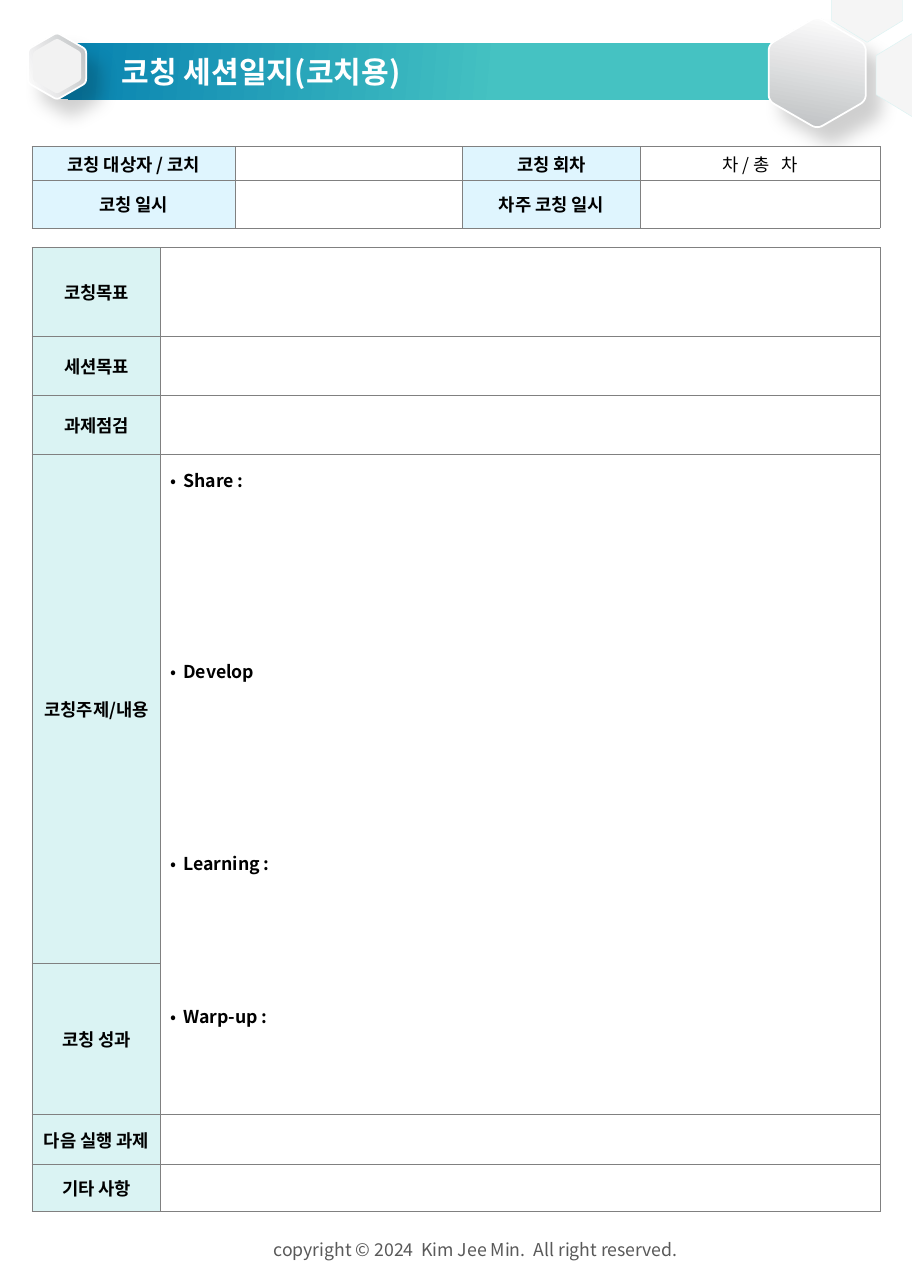
from math import cos, pi, sin

from lxml import etree
from pptx import Presentation
from pptx.dml.color import RGBColor
from pptx.enum.shapes import MSO_SHAPE
from pptx.enum.text import MSO_ANCHOR, PP_ALIGN
from pptx.oxml import parse_xml
from pptx.oxml.ns import nsdecls, qn
from pptx.util import Cm, Pt

RECTANGLE, HEXAGON = MSO_SHAPE.RECTANGLE, MSO_SHAPE.HEXAGON
TOP, MIDDLE = MSO_ANCHOR.TOP, MSO_ANCHOR.MIDDLE
LEFT, CENTER = PP_ALIGN.LEFT, PP_ALIGN.CENTER

FONT = "Noto Sans CJK KR"
BLACK = RGBColor(0x00, 0x00, 0x00)
WHITE = RGBColor(0xFF, 0xFF, 0xFF)
GRAY = RGBColor(0x59, 0x59, 0x59)
BLUE = RGBColor(0x06, 0x81, 0xB0)
TEAL = RGBColor(0x45, 0xC2, 0xC2)
SILVER = RGBColor(0xBE, 0xC0, 0xC2)
PEARL = RGBColor(0xF2, 0xF2, 0xF2)
MIST = RGBColor(0xF5, 0xF5, 0xF5)
PALE_BLUE = RGBColor(0xDF, 0xF5, 0xFE)
PALE_TEAL = RGBColor(0xDA, 0xF3, 0xF3)
BORDER = "808080"

SESSION_ROWS = [
    ["코칭 대상자 / 코치", "", "코칭 회차", "차 / 총   차"],
    ["코칭 일시", "", "차주 코칭 일시", ""],
]
JOURNAL_LABELS = ["코칭목표", "세션목표", "과제점검", "코칭주제/내용",
                  "코칭 성과", "다음 실행 과제", "기타 사항"]
TOPIC_ROW, RESULT_ROW = 3, 4
TOPIC_GAPS = {"Share :": 86.8, "Develop": 86.8, "Learning :": 65.1, "Warp-up :": 0}


def set_font(para, size, color=BLACK, bold=False):
    font = para.font
    font.size = Pt(size)
    font.bold = bold
    font.color.rgb = color
    font.name = FONT
    properties = para._p.pPr.find(qn("a:defRPr"))
    etree.SubElement(properties, qn("a:ea")).set("typeface", FONT)


def add_label(page, left, top, width, height, text, size, color, bold, align):
    box = page.shapes.add_textbox(Cm(left), Cm(top), Cm(width), Cm(height))
    frame = box.text_frame
    frame.word_wrap = True
    frame.vertical_anchor = MIDDLE
    frame.margin_top = frame.margin_bottom = 0
    para = frame.paragraphs[0]
    para.text = text
    para.alignment = align
    set_font(para, size, color, bold)


def fill_gradient(shape, start, end, end_position, angle):
    shape.fill.gradient()
    shape.fill.gradient_angle = angle
    first, last = shape.fill.gradient_stops
    first.color.rgb, first.position = start, 0
    last.color.rgb, last.position = end, end_position


def add_banner(page):
    banner = page.shapes.add_shape(RECTANGLE, Cm(1.19), Cm(0.86), Cm(15.21), Cm(1.12))
    banner.shadow.inherit = False
    banner.line.fill.background()
    fill_gradient(banner, BLUE, TEAL, 0.58, 355)


def add_corner_hexagon(page, left, top):
    shape = page.shapes.add_shape(HEXAGON, Cm(left), Cm(top), Cm(1.65), Cm(1.42))
    shape.rotation = 90
    shape.adjustments[0] = 0.305
    shape.shadow.inherit = False
    shape.fill.solid()
    shape.fill.fore_color.rgb = MIST
    shape.line.color.rgb = PALE_TEAL
    shape.line.width = Pt(0.25)


def rounded_hexagon_points(center_x, center_y, half_width, cut=0.12, steps=6):
    radius = half_width / cos(pi / 6)
    corners = [(center_x + radius * sin(k * pi / 3), center_y - radius * cos(k * pi / 3))
               for k in range(6)]
    points = []
    for k, corner in enumerate(corners):
        before, after = corners[k - 1], corners[(k + 1) % 6]
        for step in range(steps + 1):
            t = step / steps
            toward_before, toward_after = cut * (1 - t) ** 2, cut * t ** 2
            points.append(tuple(
                Cm(c + toward_before * (b - c) + toward_after * (a - c))
                for b, c, a in zip(before, corner, after)))
    return points


def add_rounded_hexagon(page, center_x, center_y, half_width):
    points = rounded_hexagon_points(center_x, center_y, half_width)
    builder = page.shapes.build_freeform(*points[0])
    builder.add_line_segments(points[1:], close=True)
    shape = builder.convert_to_shape()
    shape.shadow.inherit = False
    return shape


def add_silver_hexagon(page, center_x, center_y, half_width, angle):
    shape = add_rounded_hexagon(page, center_x, center_y, half_width)
    fill_gradient(shape, SILVER, WHITE, 1, angle)
    shape.line.color.rgb = WHITE
    shape.line.width = Pt(1)
    effects = shape._element.spPr.find(qn("a:effectLst"))
    effects.append(parse_xml(
        f'<a:outerShdw {nsdecls("a")} blurRad="{Pt(10)}" dist="{Pt(12)}" '
        'dir="3000000" algn="ctr" rotWithShape="0">'
        '<a:srgbClr val="000000"><a:alpha val="19000"/></a:srgbClr></a:outerShdw>'))


def add_pearl_hexagon(page, center_x, center_y, half_width):
    shape = add_rounded_hexagon(page, center_x, center_y, half_width)
    shape.fill.solid()
    shape.fill.fore_color.rgb = PEARL
    shape.line.fill.background()


def add_grid(page, left, top, widths, heights):
    frame = page.shapes.add_table(len(heights), len(widths), Cm(left), Cm(top),
                                  Cm(sum(widths)), Cm(sum(heights)))
    table = frame.table
    table.first_row = table.horz_banding = False
    for column, width in zip(table.columns, widths):
        column.width = Cm(width)
    for row, height in zip(table.rows, heights):
        row.height = Cm(height)
    return table


def set_cell(cell, text, color, bold):
    cell.margin_left = cell.margin_right = cell.margin_top = cell.margin_bottom = 0
    cell.vertical_anchor = MIDDLE
    cell.fill.solid()
    cell.fill.fore_color.rgb = color
    properties = cell._tc.get_or_add_tcPr()
    for index, side in enumerate("LRTB"):
        properties.insert(index, parse_xml(
            f'<a:ln{side} {nsdecls("a")} w="{Pt(0.5)}"><a:solidFill>'
            f'<a:srgbClr val="{BORDER}"/></a:solidFill></a:ln{side}>'))
    para = cell.text_frame.paragraphs[0]
    para.text = text
    para.alignment = CENTER
    set_font(para, 10, bold=bold)


def set_bullets(cell, gaps):
    cell.vertical_anchor = TOP
    cell.margin_left = cell.margin_right = Cm(0.2)
    frame = cell.text_frame
    frame.text = "\n".join(gaps)
    for para, gap in zip(frame.paragraphs, gaps.values()):
        para.alignment = LEFT
        para.line_spacing = 1.5
        para.space_after = Pt(gap)
        properties = para._p.get_or_add_pPr()
        for old in properties.findall(qn("a:defRPr")):
            properties.remove(old)
        properties.set("marL", str(Cm(0.25)))
        properties.set("indent", str(-Cm(0.25)))
        etree.SubElement(properties, qn("a:buFont")).set("typeface", FONT)
        etree.SubElement(properties, qn("a:buChar")).set("char", "•")
        set_font(para, 10, bold=True)


def add_session_table(page):
    table = add_grid(page, 0.64, 2.93, [4.05, 4.54, 3.55, 4.78], [0.67, 0.95])
    for r, texts in enumerate(SESSION_ROWS):
        for c, text in enumerate(texts):
            is_label = c % 2 == 0
            set_cell(table.cell(r, c), text, PALE_BLUE if is_label else WHITE, is_label)


def add_journal_table(page):
    table = add_grid(page, 0.64, 4.94, [2.57, 14.35],
                     [1.78, 1.17, 1.17, 10.16, 3.02, 0.99, 0.94])
    for r, label in enumerate(JOURNAL_LABELS):
        set_cell(table.cell(r, 0), label, PALE_TEAL, True)
        set_cell(table.cell(r, 1), "", WHITE, False)
    topic = table.cell(TOPIC_ROW, 1)
    topic.merge(table.cell(RESULT_ROW, 1))
    set_bullets(topic, TOPIC_GAPS)


def main():
    deck = Presentation()
    deck.slide_width, deck.slide_height = Cm(18.2), Cm(25.7)
    page = deck.slides.add_slide(deck.slide_layouts[6])
    add_banner(page)
    add_silver_hexagon(page, 16.31, 1.45, 0.97, 80)
    add_corner_hexagon(page, 17.37, 0.79)
    add_corner_hexagon(page, 16.48, -0.69)
    add_silver_hexagon(page, 1.14, 1.32, 0.58, 200)
    add_pearl_hexagon(page, 1.14, 1.32, 0.48)
    add_label(page, 3.05, 24.59, 12.88, 0.69,
              "copyright © 2024  Kim Jee Min.  All right reserved.", 10, GRAY, False, CENTER)
    add_label(page, 2.18, 0.94, 8.53, 0.99, "코칭 세션일지(코치용)", 17, WHITE, True, LEFT)
    add_session_table(page)
    add_journal_table(page)
    deck.save("out.pptx")


if __name__ == "__main__":
    main()
